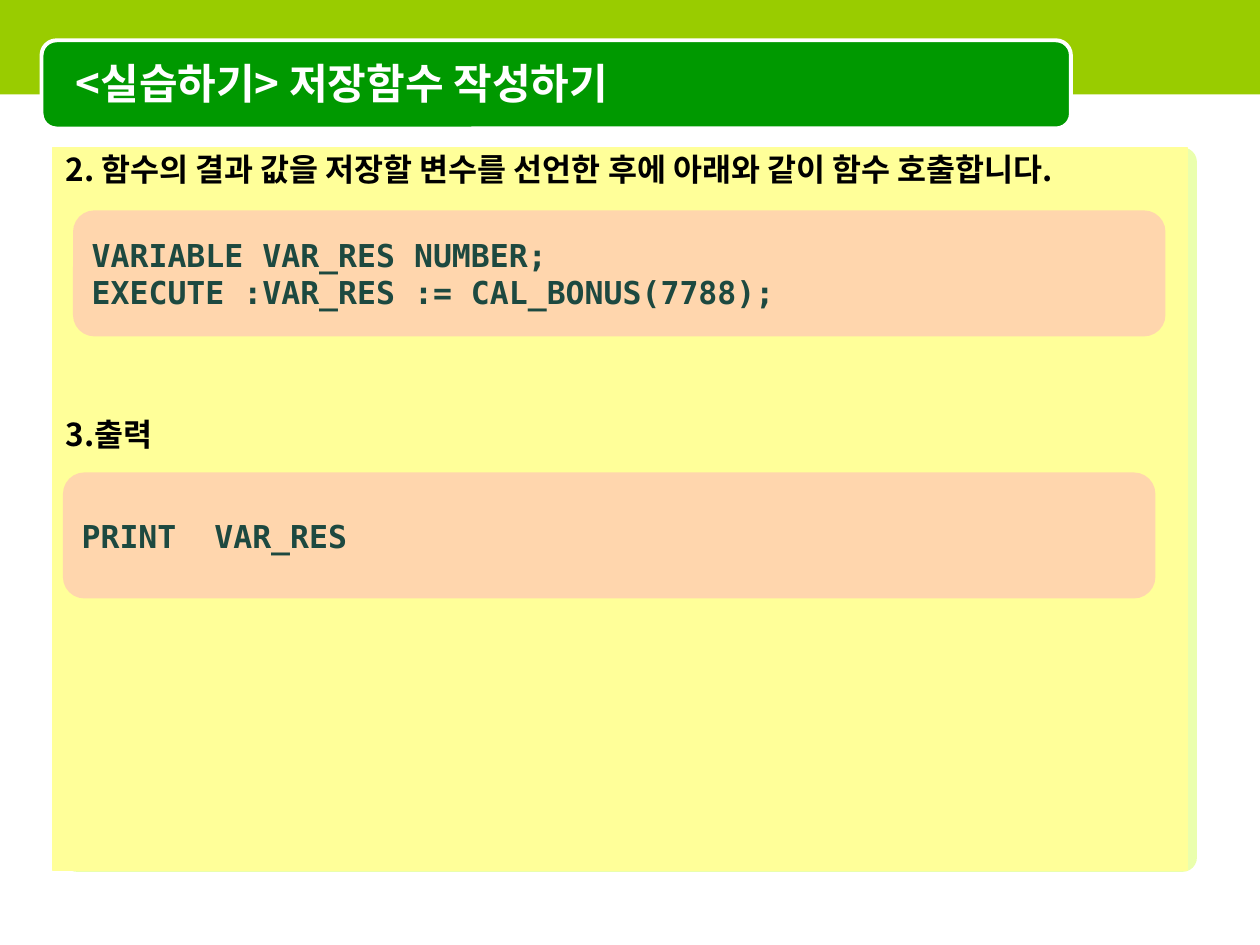
from dataclasses import dataclass
from typing import Optional

from lxml.etree import SubElement
from pptx import Presentation
from pptx.dml.color import RGBColor
from pptx.enum.shapes import MSO_SHAPE
from pptx.enum.text import MSO_ANCHOR, MSO_AUTO_SIZE, PP_ALIGN
from pptx.oxml.ns import qn
from pptx.util import Inches, Pt

KOREAN_FONT = "Noto Sans CJK KR"
CODE_FONT = "DejaVu Sans Mono"


@dataclass
class Panel:
    left: float
    top: float
    width: float
    height: float
    fill: str
    corner: Optional[float] = None
    opacity: int = 100
    line: Optional[str] = None
    line_width: float = 0.75
    code: tuple[str, ...] = ()


BACKDROP = [
    Panel(0.5, 1.17, 9, 5.75, "CCFF33", corner=0.02, opacity=40),
    Panel(0, 0, 10, 0.75, "99CC00"),
    Panel(0.33, 0.32, 8.17, 0.7, "009900", corner=0.17, line="FFFFFF", line_width=2.25),
]
CODE_STYLE = {"width": 8.67, "height": 1, "fill": "FF99CC", "corner": 0.17, "opacity": 40}
CODE_PANELS = [
    Panel(0.58, 1.67, **CODE_STYLE,
          code=("VARIABLE VAR_RES NUMBER;", "EXECUTE :VAR_RES := CAL_BONUS(7788);")),
    Panel(0.5, 3.75, **CODE_STYLE, code=("PRINT  VAR_RES",)),
]
STEPS = [
    ("2. 함수의 결과 값을 저장할 변수를 선언한 후에 아래와 같이 함수 호출합니다.", 0),
    ("3.출력", 130),
]


def set_color(target, value: str) -> None:
    target.rgb = RGBColor.from_string(value)


def add_run(para, text: str, size: float, font: str, color: str) -> None:
    para.alignment = PP_ALIGN.LEFT
    span = para.add_run()
    span.text = text
    span.font.size = Pt(size)
    span.font.bold = True
    span.font.name = font
    set_color(span.font.color, color)
    SubElement(span.font._element, qn("a:ea"), typeface=font)


def add_panel(page, panel: Panel) -> None:
    kind = MSO_SHAPE.RECTANGLE if panel.corner is None else MSO_SHAPE.ROUNDED_RECTANGLE
    box = page.shapes.add_shape(kind, Inches(panel.left), Inches(panel.top),
                                Inches(panel.width), Inches(panel.height))
    box.shadow.inherit = False
    if panel.corner is not None:
        box.adjustments[0] = panel.corner
    box.fill.solid()
    set_color(box.fill.fore_color, panel.fill)
    if panel.opacity < 100:
        color = box.element.spPr.find(f"{qn('a:solidFill')}/{qn('a:srgbClr')}")
        SubElement(color, qn("a:alpha"), val=str(panel.opacity * 1000))
    if panel.line:
        set_color(box.line.color, panel.line)
        box.line.width = Pt(panel.line_width)
    else:
        box.line.fill.background()
    frame = box.text_frame
    frame.vertical_anchor = MSO_ANCHOR.MIDDLE
    for index, text in enumerate(panel.code):
        para = frame.add_paragraph() if index else frame.paragraphs[0]
        add_run(para, text, 18, CODE_FONT, "1D4940")


def place(box, left: float, top: float, width: float, height: float, anchor) -> None:
    box.left, box.top = Inches(left), Inches(top)
    box.width, box.height = Inches(width), Inches(height)
    frame = box.text_frame
    frame.word_wrap = True
    frame.auto_size = MSO_AUTO_SIZE.NONE
    frame.vertical_anchor = anchor
    box.element.getparent().append(box.element)


def fill_title(box) -> None:
    place(box, 0.5, 0.35, 7.92, 0.62, MSO_ANCHOR.MIDDLE)
    add_run(box.text_frame.paragraphs[0], "<실습하기> 저장함수 작성하기", 24, KOREAN_FONT, "FFFFFF")


def fill_steps(box) -> None:
    place(box, 0.42, 1.17, 9, 5.74, MSO_ANCHOR.TOP)
    box.fill.solid()
    set_color(box.fill.fore_color, "FFFF99")
    set_color(box.line.color, "FFFF99")
    box.line.width = Pt(0.75)
    frame = box.text_frame
    frame.margin_top = Inches(0.02)
    for index, (text, gap) in enumerate(STEPS):
        para = frame.add_paragraph() if index else frame.paragraphs[0]
        add_run(para, text, 18, KOREAN_FONT, "000000")
        para.space_before = Pt(gap)
        properties = para._p.get_or_add_pPr()
        properties.set("marL", str(Inches(0.38)))
        properties.set("indent", str(Inches(-0.38)))
        SubElement(properties, qn("a:buNone"))


def main() -> None:
    deck = Presentation()
    deck.slide_width, deck.slide_height = Inches(10), Inches(7.5)
    page = deck.slides.add_slide(deck.slide_layouts[1])
    for panel in BACKDROP:
        add_panel(page, panel)
    fill_title(page.shapes.title)
    fill_steps(page.placeholders[1])
    for panel in CODE_PANELS:
        add_panel(page, panel)
    deck.save("out.pptx")


if __name__ == "__main__":
    main()
